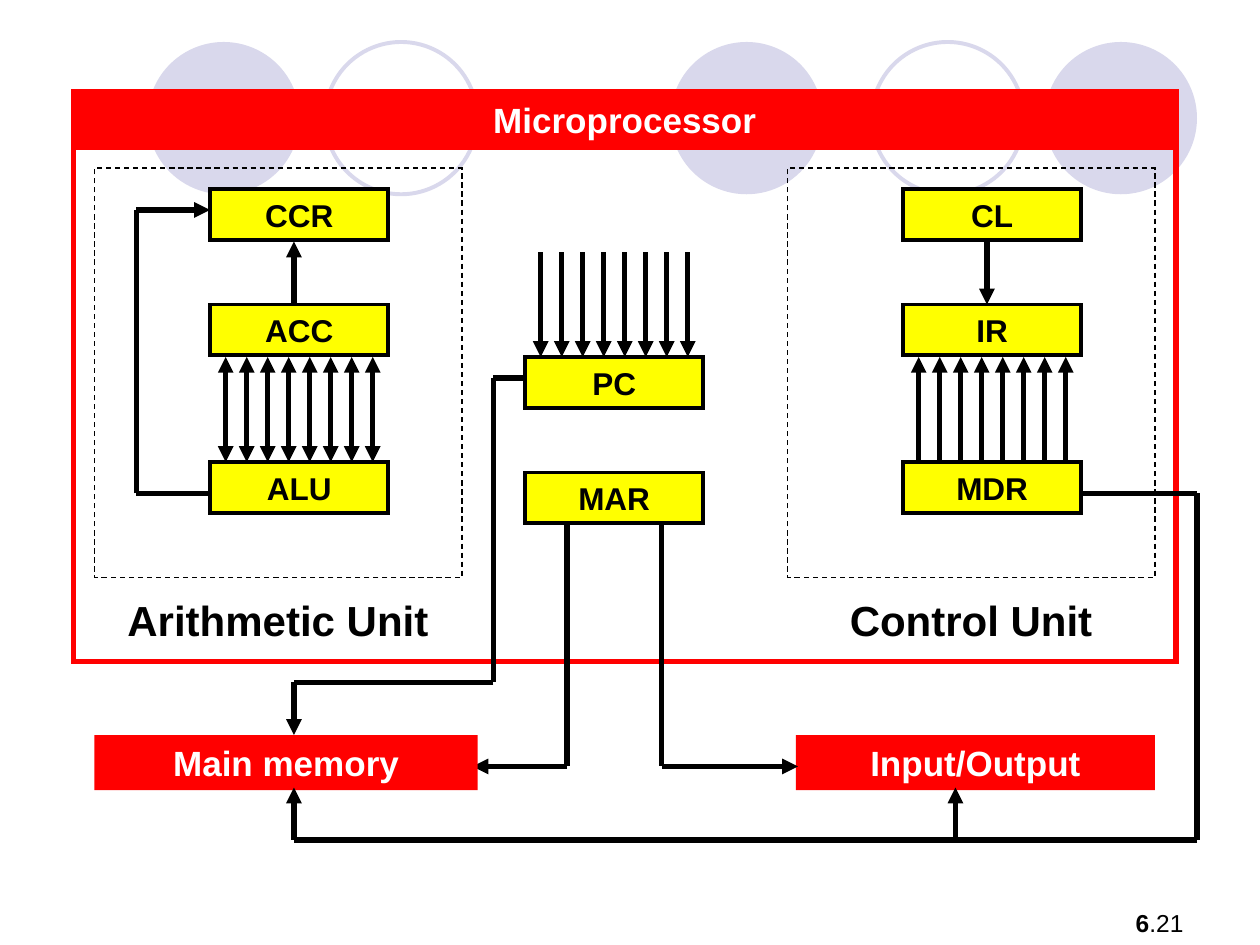
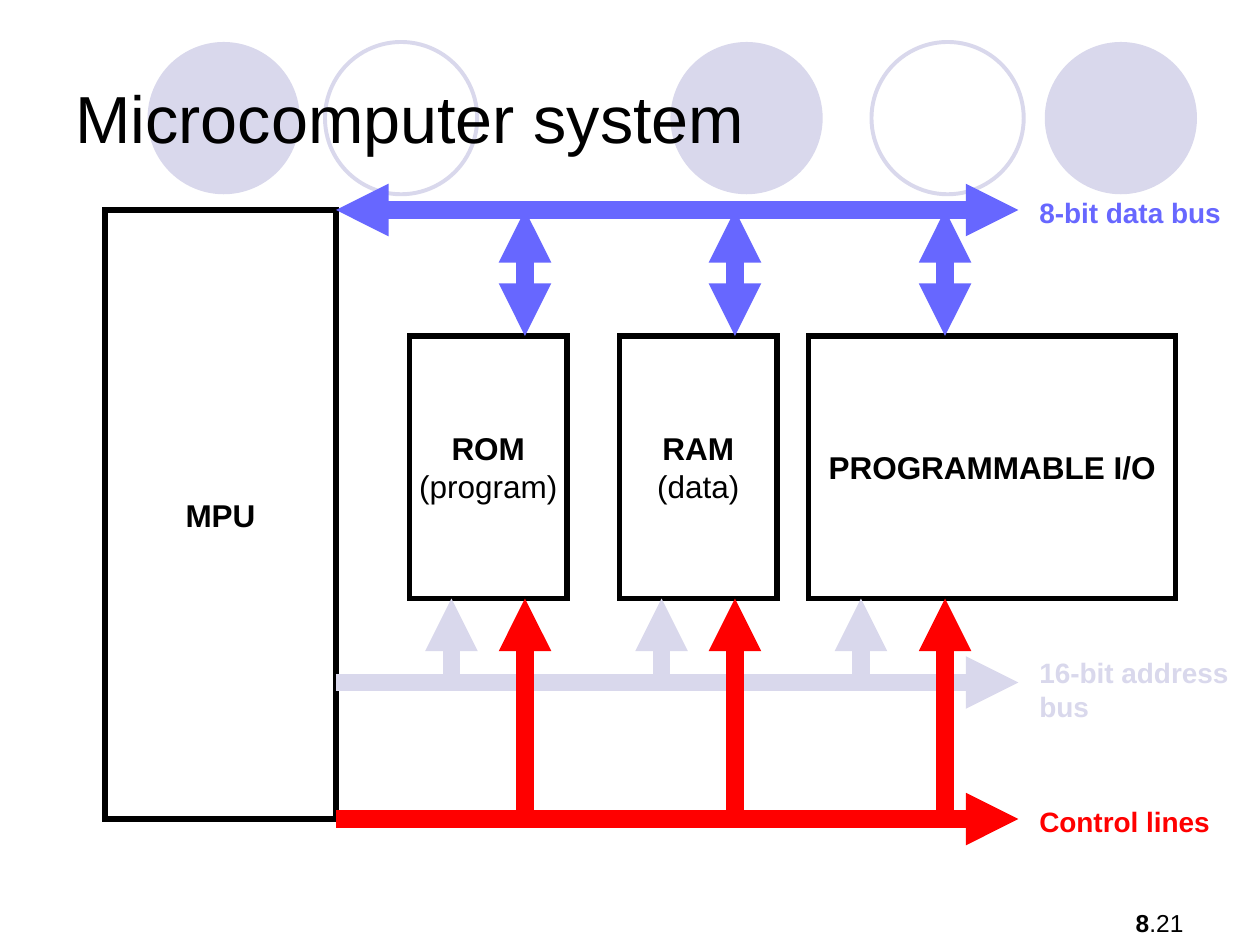
from lxml.etree import SubElement
from pptx import Presentation
from pptx.dml.color import RGBColor
from pptx.enum.dml import MSO_LINE
from pptx.enum.shapes import MSO_CONNECTOR, MSO_SHAPE
from pptx.enum.text import MSO_ANCHOR, PP_ALIGN
from pptx.oxml.ns import qn
from pptx.util import Emu, Inches, Pt

COLUMNS, ROWS = 120, 90
CELL = Inches(10) // COLUMNS
FONT = "Arial"
BLACK = RGBColor(0x00, 0x00, 0x00)
WHITE = RGBColor(0xFF, 0xFF, 0xFF)
RED = RGBColor(0xFF, 0x00, 0x00)
YELLOW = RGBColor(0xFF, 0xFF, 0x00)
LAVENDER = RGBColor(0xD9, 0xD8, 0xEC)
BLUE = RGBColor(0x67, 0x67, 0xFF)

REGISTER_SIZE = (17, 4.85)
BAND_HEIGHT = 5.25
PIN_COUNT, PIN_INSET, PIN_GAP = 8, 1.5, 2


def grid(*cells):
    return [Emu(round(cell * CELL)) for cell in cells]


def set_values(target, values):
    for name, value in values.items():
        setattr(target, name, value)


def write(shape, paragraphs, size, color, align=PP_ALIGN.LEFT, wrap=True):
    frame = shape.text_frame
    set_values(frame, {"word_wrap": wrap, "vertical_anchor": MSO_ANCHOR.MIDDLE})
    for index, spans in enumerate(paragraphs):
        para = frame.add_paragraph() if index else frame.paragraphs[0]
        para.alignment = align
        for text, bold in spans:
            span = para.add_run()
            span.text = text
            set_values(span.font, {"name": FONT, "size": Pt(size), "bold": bold})
            span.font.color.rgb = color


def add_label(page, box, paragraphs, size, color=BLACK, align=PP_ALIGN.LEFT):
    write(page.shapes.add_textbox(*grid(*box)), paragraphs, size, color, align)


def add_figure(page, box, fill=None, line=None, weight=3, dash=None, kind=MSO_SHAPE.RECTANGLE):
    shape = page.shapes.add_shape(kind, *grid(*box))
    shape.shadow.inherit = False
    if fill is None:
        shape.fill.background()
    else:
        shape.fill.solid()
        shape.fill.fore_color.rgb = fill
    if line is None:
        shape.line.fill.background()
    else:
        shape.line.color.rgb = line
        set_values(shape.line, {"width": Pt(weight), "dash_style": dash})
        SubElement(shape.line._get_or_add_ln(), qn("a:miter"), lim="800000")
    return shape


def add_link(page, start, end, color=BLACK, weight=3, head=False, tail=False):
    link = page.shapes.add_connector(MSO_CONNECTOR.STRAIGHT, *grid(*start, *end))
    link.line.color.rgb = color
    link.line.width = Pt(weight)
    outline = link.line._get_or_add_ln()
    for tag, wanted in (("a:headEnd", head), ("a:tailEnd", tail)):
        if wanted:
            SubElement(outline, qn(tag), type="triangle", w="med", len="med")
    SubElement(link._element.spPr, qn("a:effectLst"))


def add_route(page, points):
    last = len(points) - 2
    for index, (start, end) in enumerate(zip(points, points[1:])):
        add_link(page, start, end, tail=index == last)


def add_register(page, left, top, name):
    shape = add_figure(page, (left, top, *REGISTER_SIZE), YELLOW, BLACK, 2.25)
    write(shape, [[(name, True)]], 18, BLACK, PP_ALIGN.CENTER)


def add_band(page, box, name, line=None):
    shape = add_figure(page, box, RED, line)
    write(shape, [[(name, True)]], 20, WHITE, PP_ALIGN.CENTER)


def add_pins(page, left, top, bottom, **ends):
    for pin in range(PIN_COUNT):
        x = left + PIN_INSET + pin * PIN_GAP
        add_link(page, (x, top), (x, bottom), **ends)


def add_base(deck, chapter):
    page = deck.slides.add_slide(deck.slide_layouts[6])
    for left, solid in ((63.85, True), (99.5, True), (14.05, True), (83, False), (30.95, False)):
        add_figure(page, (left, 4, 14.5, 14.5), LAVENDER if solid else None,
                   None if solid else LAVENDER, 2.25, kind=MSO_SHAPE.OVAL)
    add_label(page, (99.7, 85.85, 14.2, 4), [[(chapter, True), (".21", False)]],
              14, align=PP_ALIGN.RIGHT)
    return page


def add_unit(page, box, registers, caption, caption_left, caption_width, pins, top_arrow):
    left, top, width, height = box
    stack = left + 11
    for name, drop in zip(registers, (2, 13, 28)):
        add_register(page, stack, top + drop, name)
    add_pins(page, stack, top + 18, top + 28, **pins)
    add_link(page, (stack + 8, top + 13), (stack + 8, top + 7), **top_arrow)
    add_figure(page, box, line=BLACK, weight=0.75, dash=MSO_LINE.DASH)
    add_label(page, (left + caption_left, top + height + 1, caption_width, 6),
              [[(caption, True)]], 24)


def add_counters(page, left, top):
    add_register(page, left, top + 11, "MAR")
    add_register(page, left, top, "PC")
    add_pins(page, left, top - 10, top, tail=True)


def build_processor(deck):
    page = add_base(deck, "6")
    left, top, width, height = frame = (7, 14, 105, 49)
    add_figure(page, frame, line=RED)
    add_unit(page, (left + 2, top + 2, 35, 39), ("CCR", "ACC", "ALU"), "Arithmetic Unit",
             1.95, 33, {"head": True, "tail": True}, {"tail": True})
    add_unit(page, (left + 68, top + 2, 35, 39), ("CL", "IR", "MDR"), "Control Unit",
             4.75, 27, {"head": True}, {"head": True})
    add_counters(page, left + 43, top + 20)
    add_route(page, [(20, 47), (13, 47), (13, 20), (20, 20)])
    add_route(page, [(54, 50), (54, 73), (45, 73)])
    add_band(page, (9, 70, 36.5, BAND_HEIGHT), "Main memory")
    add_band(page, (75.8, 70, 34.2, BAND_HEIGHT), "Input/Output")
    add_route(page, [(63, 50), (63, 73), (76, 73)])
    add_route(page, [(50, 36), (47, 36), (47, 65), (28, 65), (28, 70)])
    add_route(page, [(103, 47), (114, 47), (114, 80), (28, 80), (28, 75)])
    add_link(page, (91, 80), (91, 75), tail=True)
    add_band(page, (left, top - BAND_HEIGHT, width, BAND_HEIGHT), "Microprocessor", RED)


def add_block(page, box, name, note=None):
    lines = [[(name, True)]] + ([[(note, False)]] if note else [])
    write(add_figure(page, box, line=BLACK), lines, 18, BLACK, PP_ALIGN.CENTER, False)


def add_bus(page, span, y, color, taps, target, both=False):
    style = {"color": color, "weight": 10, "tail": True, "head": both}
    add_link(page, (span[0], y), (span[1], y), **style)
    for x in taps:
        add_link(page, (x, y), (x, target), **style)


def build_system(deck):
    page = add_base(deck, "8")
    add_label(page, (6, 3.6, 108, 15), [[("Microcomputer system", False)]], 38)
    left, top, width, height = (10, 20, 22, 58)
    right, bottom = left + width, top + height
    chip_top, chip_height = top + 12, 25
    chip_bottom = chip_top + chip_height
    add_block(page, (left, top, width, height), "MPU")
    for chip_left, chip_width, name, note in (
        (39, 15, "ROM", "(program)"),
        (59, 15, "RAM", "(data)"),
        (77, 35, "PROGRAMMABLE I/O", None),
    ):
        add_block(page, (chip_left, chip_top, chip_width, chip_height), name, note)

    span = (right, right + 65)
    taps = range(50, 91, 20)
    address = bottom - 13
    add_bus(page, span, address, LAVENDER, (43, 63, 82), chip_bottom)
    add_bus(page, span, bottom, RED, taps, chip_bottom)
    add_bus(page, span, top, BLUE, taps, chip_top, both=True)
    for y, label_height, color, lines in (
        (bottom - 2, 4.4, RED, ["Control lines"]),
        (address - 3.2, 7.7, LAVENDER, ["16-bit address", "bus"]),
        (top - 2, 4.4, BLUE, ["8-bit data bus"]),
    ):
        add_label(page, (span[1] + 0.8, y, 22, label_height),
                  [[(line, True)] for line in lines], 16, color)


def main():
    deck = Presentation()
    set_values(deck, {"slide_width": COLUMNS * CELL, "slide_height": ROWS * CELL})
    build_processor(deck)
    build_system(deck)
    deck.save("out.pptx")


if __name__ == "__main__":
    main()
